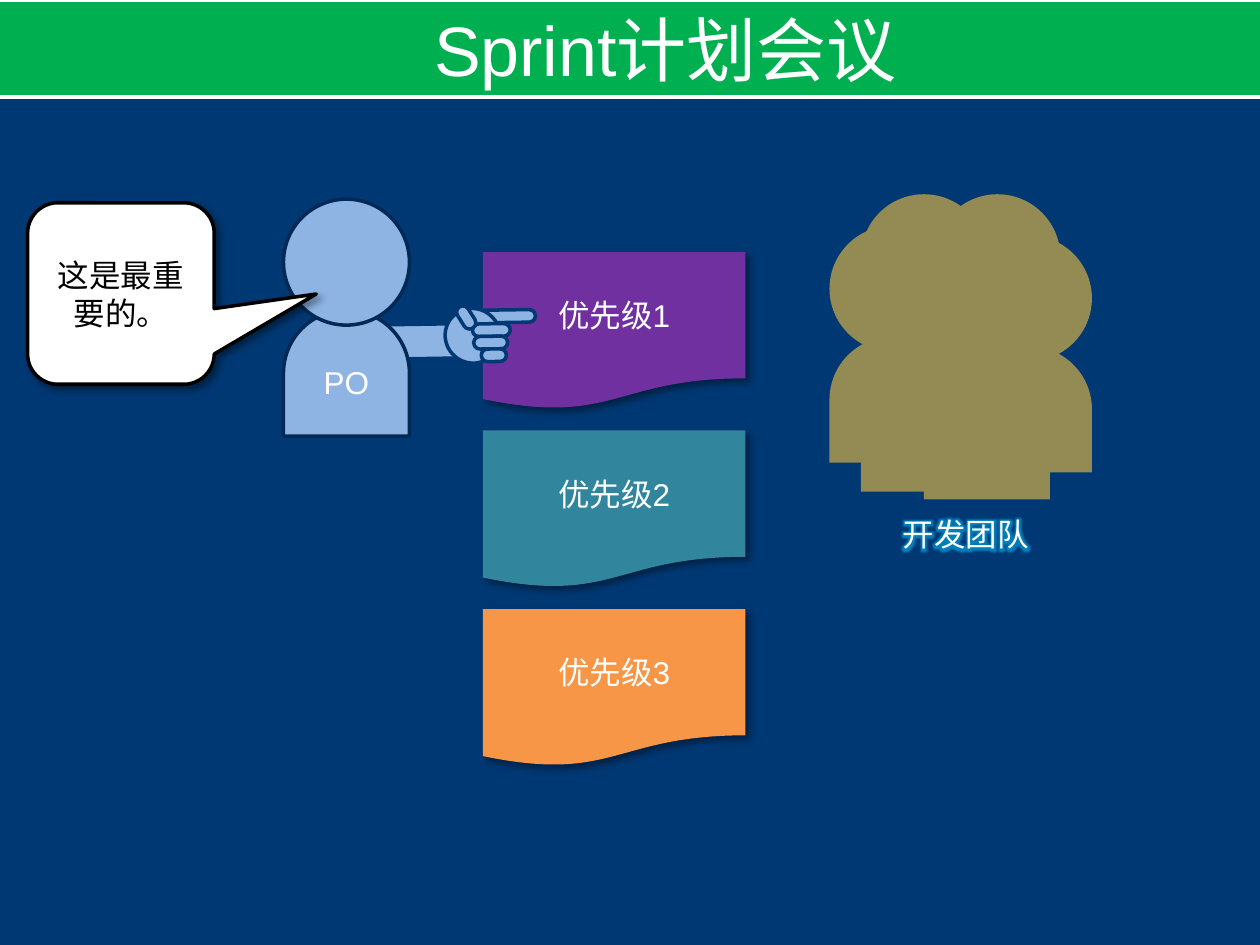
from lxml import etree
from pptx import Presentation
from pptx.dml.color import RGBColor
from pptx.enum import shapes, text
from pptx.oxml.ns import qn
from pptx.util import Pt

KIND = shapes.MSO_SHAPE

# Content
TITLE = "Sprint计划会议"
CARDS = [("优先级1", "7030A0"), ("优先级2", "31859C"), ("优先级3", "F79646")]
SPEECH = "这是最重要的。"
OWNER = "PO"
TEAM = "开发团队"

# Head positions, back to front
HEADS = [(534, 111), (492, 111), (474, 129),
         (492, 145.5), (552, 134.5), (528, 150)]
OWNER_AT = (162, 113.8)
HEAD, DROP = 72, 63.4

# Pointing arm: kind, left, top, width, height, turn
BAR = KIND.ROUNDED_RECTANGLE
ARM = [
    (KIND.DIAGONAL_STRIPE, 213.8, 178.6, 59, 52.6, 40.8),
    (BAR, 272.2, 177.1, 33.8, 7.2, 359.2),
    (KIND.OVAL, 254.2, 176.4, 31.7, 31, 40.8),
    (BAR, 270, 185, 21.6, 7.2, 359.2),
    (BAR, 270.7, 192.2, 19.4, 7.2, 359.2),
    (BAR, 275, 199.4, 14.4, 7.2, 359.2),
    (BAR, 259.2, 177.8, 14.4, 7.2, 57.8),
]
SKIN, NAVY, EDGE, KHAKI = "8EB4E3", "003873", "002955", "948A54"

deck = Presentation()
deck.slide_width, deck.slide_height = Pt(720), Pt(540)
slide = deck.slides.add_slide(deck.slide_layouts[5])


def color(code):
    return RGBColor.from_string(code)


def effect(parent, kind, code, alpha, **sizes):
    """Add one shadow or glow to a shape's or run's properties."""
    old = parent.find(qn("a:effectLst"))
    if old is not None:
        parent.remove(old)
    group = etree.Element(qn("a:effectLst"))
    node = etree.SubElement(group, qn("a:" + kind),
                            {key: str(int(size)) for key, size in sizes.items()})
    tint = etree.SubElement(node, qn("a:srgbClr"), val=code)
    etree.SubElement(tint, qn("a:alpha"), val=str(alpha * 1000))
    return group


def shade(shape):
    props = shape._element.spPr
    props.append(effect(props, "outerShdw", "000000", 40,
                        blurRad=Pt(4), dist=Pt(3), dir=45 * 60000))


def write(shape, words, size=18, code="FFFFFF"):
    frame = shape.text_frame
    frame.text = words
    frame.vertical_anchor = text.MSO_ANCHOR.MIDDLE
    line = frame.paragraphs[0]
    line.alignment = text.PP_ALIGN.CENTER
    font = line.runs[0].font
    font.name, font.size = "Arial", Pt(size)
    font.color.rgb = color(code)


def draw(kind, left, top, wide, high, fill, line=None, turn=0):
    shape = slide.shapes.add_shape(kind, Pt(left), Pt(top), Pt(wide), Pt(high))
    shape.shadow.inherit = False
    shape.rotation = turn
    shape.fill.solid()
    shape.fill.fore_color.rgb = color(fill)
    if line:
        shape.line.color.rgb = color(line)
        shape.line.width = Pt(2)
    else:
        shape.line.fill.background()
    return shape


def person(left, top, fill, line=None):
    body = draw(KIND.FLOWCHART_DELAY, left, top + DROP, HEAD, HEAD,
                fill, line, 270)
    draw(KIND.OVAL, left, top, HEAD, HEAD, fill, line)
    return body


def fit(shape):
    shape.text_frame.word_wrap = False
    shape.text_frame.auto_size = text.MSO_AUTO_SIZE.SHAPE_TO_FIT_TEXT


slide.background.fill.solid()
slide.background.fill.fore_color.rgb = color(NAVY)

# Priority cards, with the arm resting on the first
for row, (words, fill) in enumerate(CARDS):
    card = draw(KIND.FLOWCHART_DOCUMENT, 276, 144 + 102 * row, 150, 90, fill)
    write(card, words)
    shade(card)
    if row == 0:
        for kind, left, top, wide, high, turn in ARM:
            part = draw(kind, left, top, wide, high, SKIN, NAVY, turn)
            if kind == BAR:
                part.adjustments[0] = 0.5

# Team
for left, top in HEADS:
    person(left, top, KHAKI)
label = slide.shapes.add_textbox(Pt(508.3), Pt(290.9), Pt(87.1), Pt(28.8))
write(label, TEAM)
fit(label)
props = label.text_frame.paragraphs[0].runs[0].font._element
props.find(qn("a:solidFill")).addnext(
    effect(props, "glow", "00B0F0", 60, rad=Pt(8)))

# Product owner and speech
owner = person(*OWNER_AT, SKIN, EDGE)
write(owner, OWNER)
owner.text_frame._txBody.bodyPr.set("vert", "vert")
speech = draw(KIND.ROUNDED_RECTANGULAR_CALLOUT, 15.8, 115.9, 106.6, 103.7,
              "FFFFFF", "000000")
for spot, value in enumerate((1.047, 0.003, 0.167)):
    speech.adjustments[spot] = value
write(speech, SPEECH, code="000000")
shade(speech)

# Title over its band
draw(KIND.RECTANGLE, -19.4, 0, 764.6, 55.4, "00B050", "FFFFFF")
title = slide.shapes.title
title.left, title.top, title.width, title.height = (
    Pt(230.4), Pt(0), Pt(299.5), Pt(55.4))
write(title, TITLE, 40)
fit(title)
slide.shapes._spTree.append(title._element)

deck.save("out.pptx")
